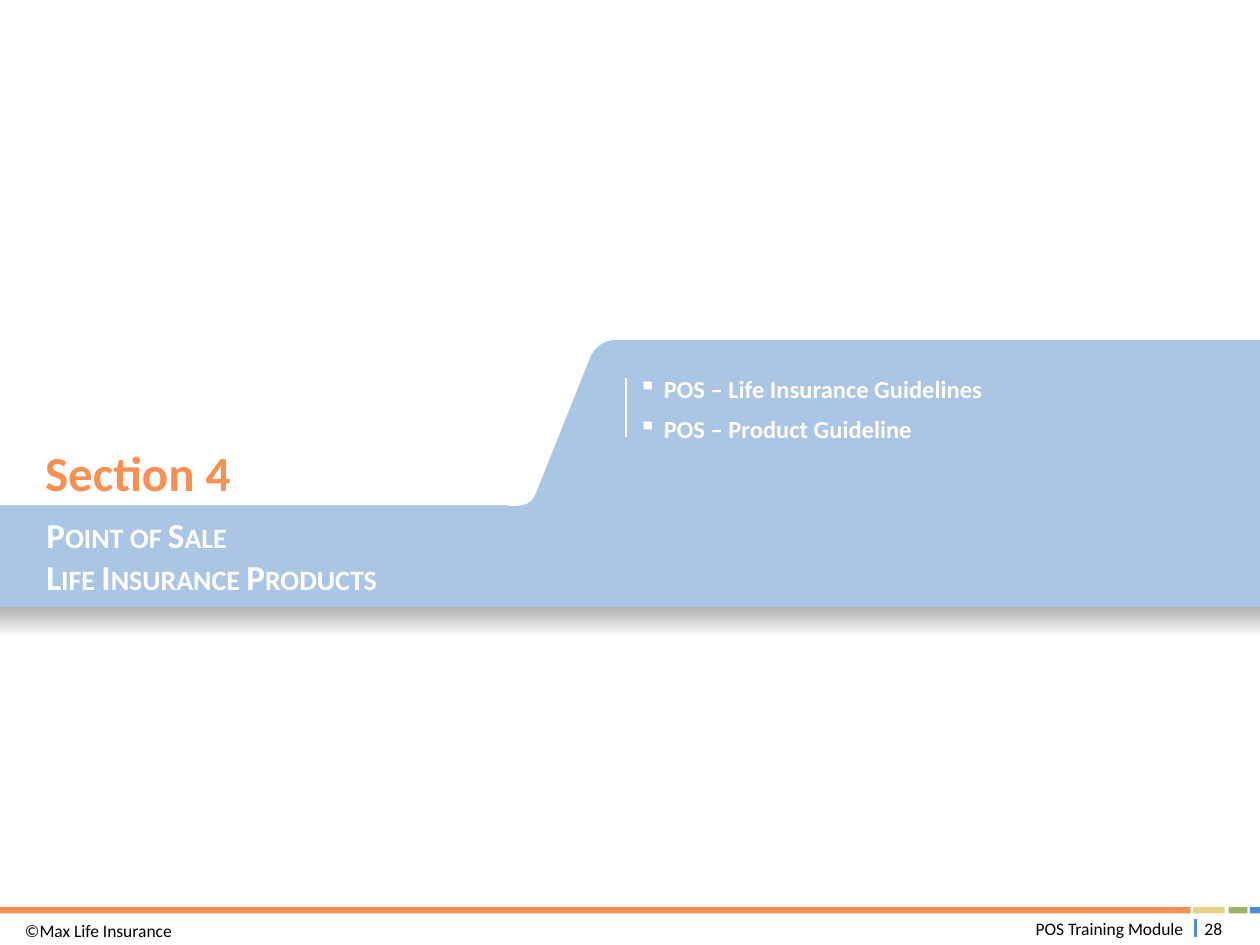
from lxml import etree
from pptx import Presentation
from pptx.dml.color import RGBColor
from pptx.enum import shapes, text
from pptx.oxml.ns import qn
from pptx.util import Inches, Pt

COLORS = {"orange": "F69053", "yellow": "E7D284", "green": "9BB469", "blue": "528BD4",
          "band": "ABC6E4", "shade": "A6A6A6", "white": "FFFFFF", "black": "000000"}

# Content
SECTION = ["Section 4"]
TITLE = ["Point of Sale", "Life Insurance Products"]
TOPICS = ["POS – Life Insurance Guidelines", "POS – Product Guideline"]
COPYRIGHT = ["©Max Life Insurance"]
MODULE = ["POS Training Module"]
PAGE_NUMBER = ["28"]

# Footer strip: left edge, width, colour
STRIP = [(0, 9.45, "orange"), (9.47, 0.25, "yellow"),
         (9.75, 0.15, "green"), (9.92, 0.08, "blue")]

# White tab outline: two points make a line, six make a curve
TAB_START = (0, 2.52)
TAB_SEGMENTS = [(4.97, 2.52), (5.78, 2.55, 5.17, 2.68, 5.04, 2.69),
                (4.93, 2.7, 4.78, 2.66, 4.69, 2.82), (4.25, 3.92),
                (4.24, 3.92, 4.24, 4.04, 4.01, 4.01), (0, 4.01)]
CURVE_STEPS = 16


def color(name):
    return RGBColor.from_string(COLORS[name])


def paint(shape, name):
    shape.shadow.inherit = False
    shape.line.fill.background()
    shape.fill.solid()
    shape.fill.fore_color.rgb = color(name)


def add_bar(page, left, top, width, height, name):
    bar = page.shapes.add_shape(shapes.MSO_SHAPE.RECTANGLE, Inches(left), Inches(top),
                                Inches(width), Inches(height))
    paint(bar, name)
    return bar


def add_rule(page, x, top, bottom, name, weight):
    rule = page.shapes.add_connector(shapes.MSO_CONNECTOR.STRAIGHT, Inches(x), Inches(top),
                                     Inches(x), Inches(bottom))
    rule.line.color.rgb = color(name)
    rule.line.width = Pt(weight)
    etree.SubElement(rule._element.spPr, qn("a:effectLst"))


def add_bullet(paragraph):
    properties = paragraph._p.get_or_add_pPr()
    properties.set("marL", str(Inches(0.2)))
    properties.set("indent", str(Inches(-0.2)))
    bullet_color = etree.SubElement(properties, qn("a:buClr"))
    etree.SubElement(bullet_color, qn("a:srgbClr")).set("val", COLORS["white"])
    etree.SubElement(properties, qn("a:buChar")).set("char", "▪")


def add_text(page, lines, place, size, name, bold=False, align="LEFT", anchor="MIDDLE",
             insets=(0.1, 0.1), gap=0, bullets=False, small_caps=False):
    box = page.shapes.add_textbox(*map(Inches, place))
    frame = box.text_frame
    frame.word_wrap = True
    frame.vertical_anchor = text.MSO_ANCHOR[anchor]
    frame.margin_left = frame.margin_right = Inches(insets[0])
    frame.margin_top = frame.margin_bottom = Inches(insets[1])
    for index, line in enumerate(lines):
        paragraph = frame.add_paragraph() if index else frame.paragraphs[0]
        span = paragraph.add_run()
        span.text = line
        if small_caps:
            span._r.get_or_add_rPr().set("cap", "small")
        if bullets:
            add_bullet(paragraph)
        if index and gap:
            paragraph.space_before = Pt(gap)
        paragraph.alignment = text.PP_ALIGN[align]
        paragraph.font.name = "Calibri"
        paragraph.font.size = Pt(size)
        paragraph.font.bold = bold
        paragraph.font.color.rgb = color(name)


def curve_points(start, curve):
    """Points along a cubic curve, without its start."""
    controls = [start, curve[:2], curve[2:4], curve[4:]]
    for step in range(1, CURVE_STEPS + 1):
        t = step / CURVE_STEPS
        weights = ((1 - t) ** 3, 3 * t * (1 - t) ** 2, 3 * t ** 2 * (1 - t), t ** 3)
        yield tuple(sum(w * point[axis] for w, point in zip(weights, controls))
                    for axis in (0, 1))


def add_tab(page):
    points = [TAB_START]
    for segment in TAB_SEGMENTS:
        points += [segment] if len(segment) == 2 else curve_points(points[-1], segment)
    builder = page.shapes.build_freeform(*map(Inches, TAB_START), scale=1.0)
    builder.add_line_segments([(Inches(x), Inches(y)) for x, y in points[1:]], close=True)
    paint(builder.convert_to_shape(), "white")


def main():
    deck = Presentation()
    deck.slide_width, deck.slide_height = Inches(10), Inches(7.5)
    page = deck.slides.add_slide(deck.slide_layouts[6])

    # Footer
    for left, width, name in STRIP:
        add_bar(page, left, 7.2, width, 0.05, name)
    add_rule(page, 9.49, 7.29, 7.44, "blue", 1.5)
    add_text(page, MODULE, (7.31, 7.27, 2.13, 0.2), 10, "black", align="RIGHT",
             insets=(0.05, 0.05))
    add_text(page, PAGE_NUMBER, (9.48, 7.27, 0.3, 0.2), 10, "black", align="CENTER",
             insets=(0.05, 0.05))
    add_text(page, COPYRIGHT, (0.1, 7.25, 3.13, 0.23), 10, "black", anchor="TOP",
             insets=(0.1, 0.05))

    # Band with its fading shade and the white tab cut
    shade = add_bar(page, 0, 4.78, 10, 0.28, "shade")
    shade.fill.gradient()
    shade.fill.gradient_angle = 270
    for stop, name, position in zip(shade.fill.gradient_stops, ("shade", "white"), (0, 1)):
        stop.color.rgb = color(name)
        stop.position = position
    add_bar(page, 0, 2.7, 10, 2.12, "band")
    add_tab(page)

    # Section heading and topics
    add_text(page, SECTION, (0.26, 3.64, 2.63, 0.21), 28, "orange", bold=True)
    add_text(page, TITLE, (0.27, 4.15, 3.79, 0.52), 20, "white", bold=True, small_caps=True)
    add_text(page, TOPICS, (4.97, 2.92, 3.69, 0.75), 14, "white", bold=True, anchor="TOP",
             insets=(0.1, 0.05), gap=6, bullets=True)
    add_rule(page, 4.97, 3, 3.47, "white", 1)

    deck.save("out.pptx")


if __name__ == "__main__":
    main()
